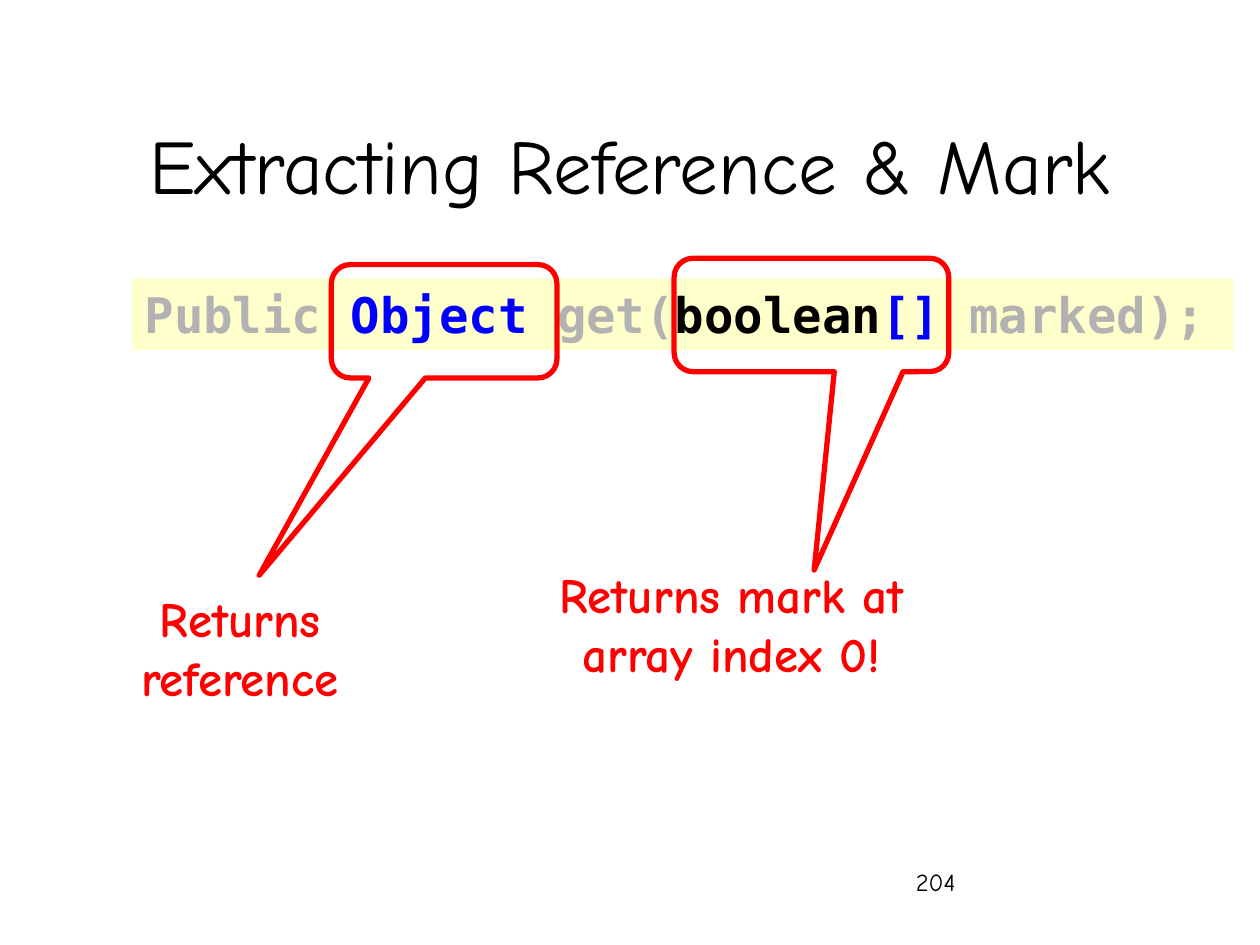
from pptx import Presentation
from pptx.dml.color import RGBColor
from pptx.enum.shapes import MSO_SHAPE
from pptx.enum.text import MSO_ANCHOR, PP_ALIGN
from pptx.util import Inches, Pt

CALLOUT = MSO_SHAPE.ROUNDED_RECTANGULAR_CALLOUT
TOP, MIDDLE = MSO_ANCHOR.TOP, MSO_ANCHOR.MIDDLE
LEFT, CENTER = PP_ALIGN.LEFT, PP_ALIGN.CENTER

COLORS = {"black": "000000", "red": "FF0000", "blue": "0000FF",
          "grey": "B2B2B2", "cream": "FFFFCC"}
HAND, CODE = "Comic Neue", "DejaVu Sans Mono"
COLS, ROWS = 100, 75


def color(name):
    return RGBColor.from_string(COLORS[name])


class Deck:
    """Places elements on a grid of 100 columns by 75 rows."""

    def __init__(self):
        self.prs = Presentation()
        self.prs.slide_width, self.prs.slide_height = Inches(10), Inches(7.5)
        self.s = self.prs.slides.add_slide(self.prs.slide_layouts[6])

    def box(self, col, row, cols, rows):
        w, h = self.prs.slide_width / COLS, self.prs.slide_height / ROWS
        return [round(v) for v in (col * w, row * h, cols * w, rows * h)]

    def text(self, at, runs, size, font=HAND, bold=False, align=LEFT,
             anchor=TOP, fill=None):
        sp = self.s.shapes.add_textbox(*self.box(*at))
        if fill:
            sp.fill.solid()
            sp.fill.fore_color.rgb = color(fill)
        tf = sp.text_frame
        tf.word_wrap = True
        tf.vertical_anchor = anchor
        p = tf.paragraphs[0]
        p.alignment = align
        for words, ink in runs:
            r = p.add_run()
            r.text = words
            r.font.name, r.font.size, r.font.bold = font, Pt(size), bold
            r.font.color.rgb = color(ink)

    def callout(self, at, tip):
        sp = self.s.shapes.add_shape(CALLOUT, *self.box(*at))
        sp.shadow.inherit = False
        sp.fill.background()
        sp.line.color.rgb = color("red")
        sp.line.width = Pt(3)
        sp.adjustments[0], sp.adjustments[1] = tip

    def note(self, at, words):
        self.text(at, [(words, "red")], 28, bold=True, align=CENTER)


def main():
    deck = Deck()

    # Slide number and title
    deck.text((71.7, 68.3, 20.8, 5), [("204", "black")], 14)
    deck.text((7.5, 6.7, 85, 12.5), [("Extracting Reference & Mark", "black")],
              44, align=CENTER, anchor=MIDDLE)

    # Method signature
    signature = [("Public", "grey"), (" Object ", "blue"), ("get(", "grey"),
                 ("boolean", "black"), ("[]", "blue"), (" marked);", "grey")]
    deck.text((10.5, 22.1, 87.4, 5.7), signature, 28, CODE, bold=True,
              fill="cream")

    # Callouts with their notes
    deck.callout((26.3, 21, 17.9, 9), (-0.82, 2.24))
    deck.note((6.3, 46.2, 25.5, 10.3), "Returns reference")
    deck.callout((53.5, 20.5, 21.8, 9), (0.01, 2.25))
    deck.note((39.9, 44.3, 36.3, 10.3), "Returns mark at array index 0!")

    deck.prs.save("out.pptx")


if __name__ == "__main__":
    main()
